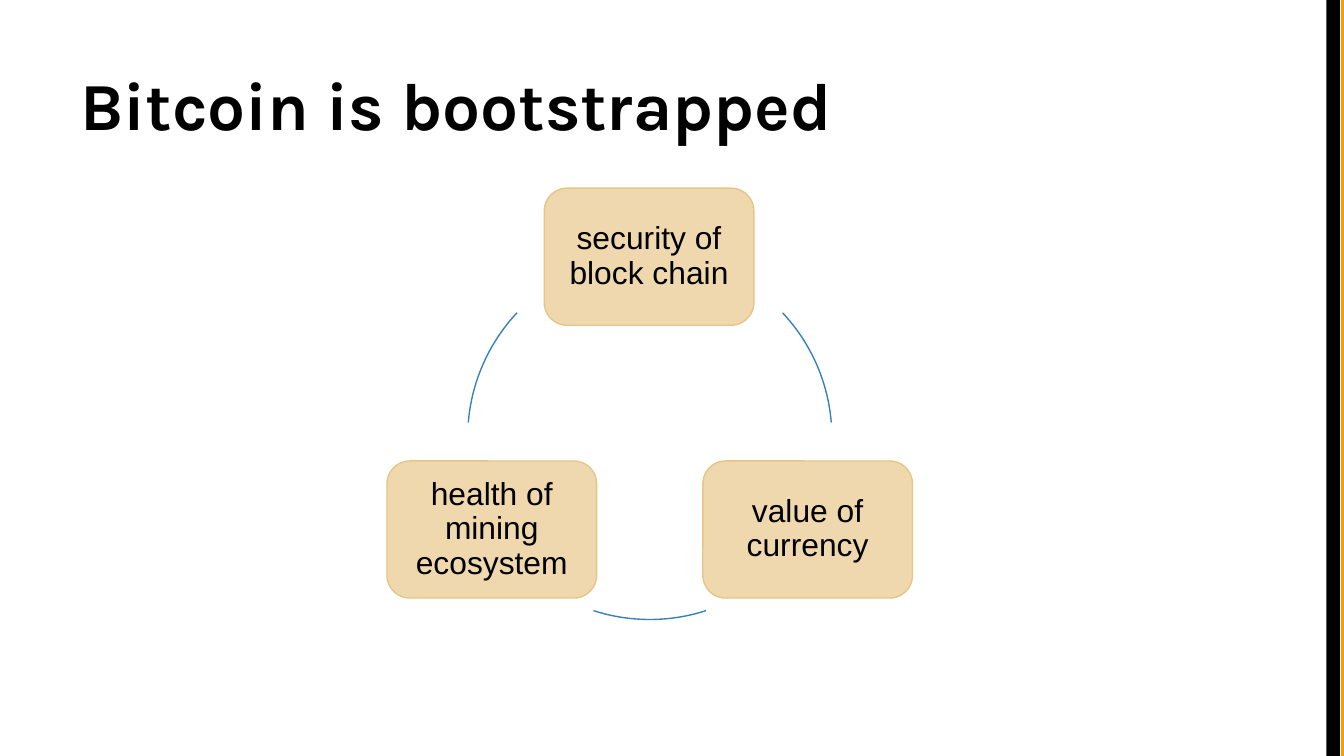
"""Build the slide showing the three-step bootstrapping cycle."""
from typing import NamedTuple

import pptx
import pptx.dml.color
import pptx.enum.shapes
import pptx.enum.text
import pptx.util

Inches = pptx.util.Inches
Pt = pptx.util.Pt
Kind = pptx.enum.shapes.MSO_SHAPE
Align = pptx.enum.text.PP_ALIGN
Anchor = pptx.enum.text.MSO_ANCHOR


class Bar(NamedTuple):
    left: float
    fill: str


class Step(NamedTuple):
    left: float
    top: float
    text: str


class Bend(NamedTuple):
    start: float
    end: float


WIDE = 10
HIGH = WIDE * 9 / 16
LEFT, TOP, SIZE = 3.48, 1.9, 2.71
BARS = [Bar(9.98, "FF9900"), Bar(9.87, "000000")]
STEPS = [
    Step(4.05, 1.4, "security of block chain"),
    Step(5.23, 3.43, "value of currency"),
    Step(2.88, 3.43, "health of mining ecosystem"),
]
BENDS = [Bend(316.8, 355.3), Bend(72, 108), Bend(184.7, 223.2)]


def color(code: str) -> pptx.dml.color.RGBColor:
    return pptx.dml.color.RGBColor.from_string(code)


def add_shape(slide, kind, left: float, top: float, width: float, height: float,
              fill: str = "", line: str = ""):
    shape = slide.shapes.add_shape(
        kind, Inches(left), Inches(top), Inches(width), Inches(height))
    shape.shadow.inherit = False
    if fill:
        shape.fill.solid()
        shape.fill.fore_color.rgb = color(fill)
    else:
        shape.fill.background()
    if line:
        shape.line.color.rgb = color(line)
        shape.line.width = Pt(0.75)
    else:
        shape.line.fill.background()
    return shape


def add_text(shape, text: str, font: str, size: float, inset: float, anchor,
             bold: bool = False):
    frame = shape.text_frame
    frame.word_wrap = True
    frame.vertical_anchor = anchor
    frame.margin_left = frame.margin_right = Inches(inset)
    frame.margin_top = frame.margin_bottom = Inches(inset)
    para = frame.paragraphs[0]
    run = para.add_run()
    run.text = text
    run.font.name = font
    run.font.size = Pt(size)
    run.font.bold = bold
    run.font.color.rgb = color("000000")
    return para


def add_bar(slide, bar: Bar) -> None:
    add_shape(slide, Kind.RECTANGLE, bar.left, 0, 0.1, HIGH, bar.fill)


def add_title(slide, text: str) -> None:
    box = slide.shapes.add_textbox(Inches(0.5), Inches(0.23), Inches(9), Inches(0.94))
    add_text(box, text, "Karla", 36, 0.1, Anchor.BOTTOM, True)


def add_step(slide, step: Step) -> None:
    card = add_shape(slide, Kind.ROUNDED_RECTANGLE, step.left, step.top, 1.56, 1.02,
                     "EFD7AE", "E7C586")
    para = add_text(card, step.text, "Arial", 17, 0.07, Anchor.MIDDLE)
    para.alignment = Align.CENTER
    para.line_spacing = 0.9
    para.space_after = Pt(6)


def add_bend(slide, bend: Bend) -> None:
    arc = add_shape(slide, Kind.ARC, LEFT, TOP, SIZE, SIZE, line="3781BA")
    for index, angle in enumerate(bend):
        arc.adjustments[index] = angle * 0.6


def main() -> None:
    deck = pptx.Presentation()
    deck.slide_width = Inches(WIDE)
    deck.slide_height = Inches(HIGH)
    slide = deck.slides.add_slide(deck.slide_layouts[6])
    for bar in BARS:
        add_bar(slide, bar)
    add_title(slide, "Bitcoin is bootstrapped")
    for step, bend in zip(STEPS, BENDS):
        add_step(slide, step)
        add_bend(slide, bend)
    deck.save("out.pptx")


if __name__ == "__main__":
    main()
